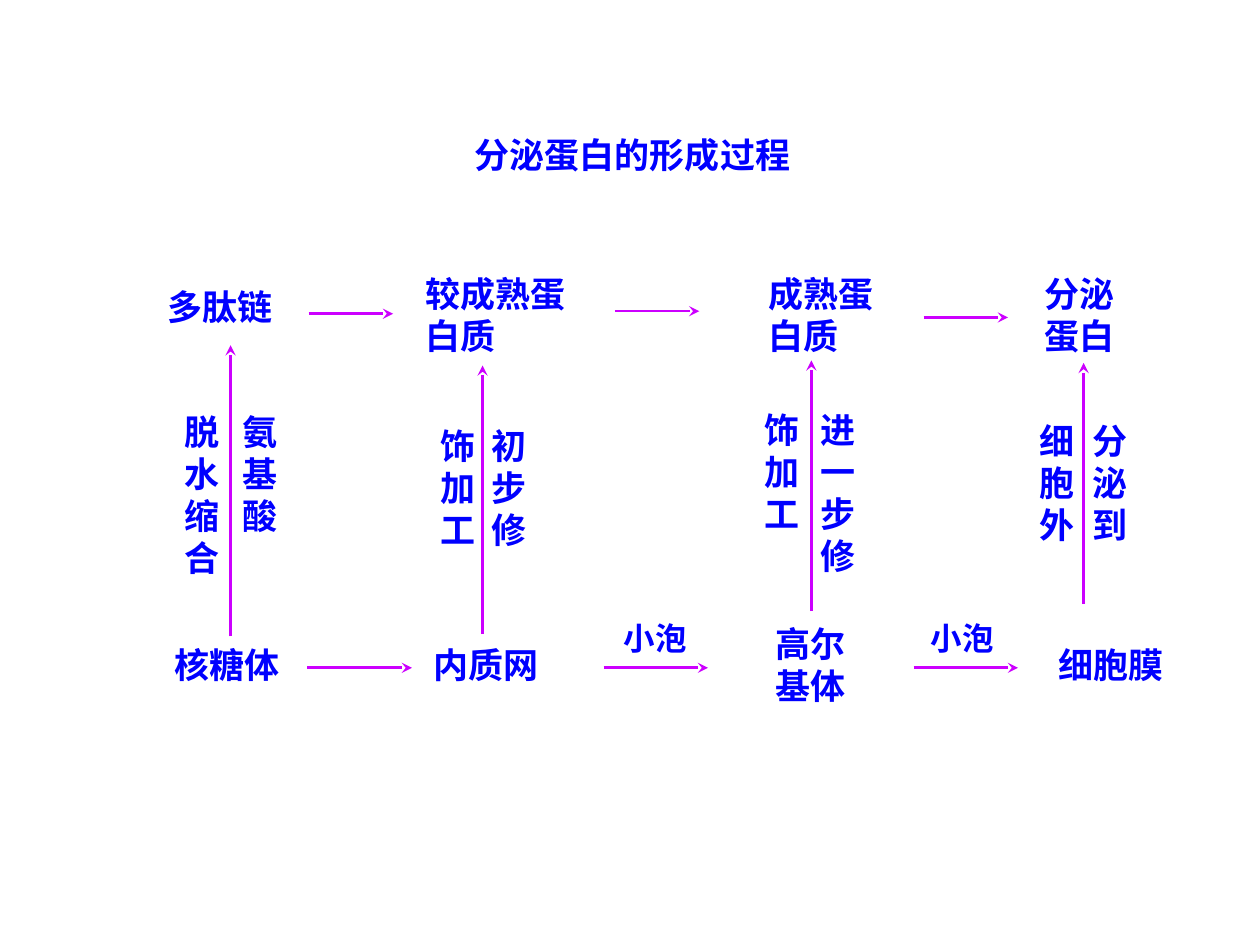
"""Build a slide showing how secretory proteins are formed."""
from lxml.etree import SubElement
from pptx import Presentation
from pptx.dml.color import RGBColor
from pptx.enum.shapes import MSO_CONNECTOR
from pptx.enum.text import MSO_ANCHOR as Anchor, PP_ALIGN as Align
from pptx.oxml.ns import qn
from pptx.util import Inches, Pt

THEME = {
    "font": "Noto Sans CJK SC",
    "text": RGBColor(0x00, 0x00, 0xFF),
    "arrow": RGBColor(0xCC, 0x00, 0xFF),
    "body_size": Pt(20),
    "label_size": Pt(18),
    "arrow_width": Pt(1.5),
}


def write_text(shape, text, size, anchor=Anchor.MIDDLE, align=Align.LEFT, wrap=True):
    frame = shape.text_frame
    frame_format = {
        "word_wrap": wrap, "vertical_anchor": anchor,
        "margin_left": Inches(0.1), "margin_right": Inches(0.1),
        "margin_top": Inches(0.05), "margin_bottom": Inches(0.05),
    }
    for name, value in frame_format.items():
        setattr(frame, name, value)
    paragraph = frame.paragraphs[0]
    paragraph.alignment = align
    run = paragraph.add_run()
    run.text = text
    for name, value in {"name": THEME["font"], "size": size, "bold": True}.items():
        setattr(run.font, name, value)
    run.font.color.rgb = THEME["text"]
    SubElement(run.font._element, qn("a:ea"), typeface=THEME["font"])


def add_arrow(slide, start, end):
    points = [Inches(value) for value in (*start, *end)]
    arrow = slide.shapes.add_connector(MSO_CONNECTOR.STRAIGHT, *points)
    arrow.line.color.rgb = THEME["arrow"]
    arrow.line.width = THEME["arrow_width"]
    SubElement(arrow.line._get_or_add_ln(), qn("a:tailEnd"), type="stealth")
    SubElement(arrow._element.spPr, qn("a:effectLst"))


presentation = Presentation()
presentation.slide_width = Inches(10)
presentation.slide_height = Inches(7.5)
slide = presentation.slides.add_slide(presentation.slide_layouts[5])

title = slide.shapes.title
title_place = {"left": 0.2, "top": 1.01, "width": 9.64, "height": 0.44}
for name, value in title_place.items():
    setattr(title, name, Inches(value))
write_text(title, "分泌蛋白的形成过程", THEME["body_size"], Anchor.TOP, Align.CENTER)

ONE_LINE, TWO_LINES = 0.44, 0.77
products = [
    ("多肽链 ", 0.99, 2.21, 1.58, ONE_LINE, Align.CENTER),
    ("较成熟蛋白质", 3.28, 2.11, 1.44, TWO_LINES, Align.LEFT),
    ("成熟蛋白质", 6, 2.11, 1.23, TWO_LINES, Align.LEFT),
    ("分泌蛋白", 8.19, 2.11, 0.93, TWO_LINES, Align.LEFT),
]
organelles = [
    ("核糖体", 1.29, 5.05, 1.33, ONE_LINE, Align.LEFT),
    ("内质网", 3.34, 5.05, 1.22, ONE_LINE, Align.LEFT),
    ("高尔基体", 6.06, 4.89, 0.98, TWO_LINES, Align.LEFT),
    ("细胞膜", 8.3, 5.05, 1.28, ONE_LINE, Align.LEFT),
]
for text, left, top, width, height, align in products + organelles:
    box = slide.shapes.add_textbox(*map(Inches, (left, top, width, height)))
    write_text(box, text, THEME["body_size"], align=align)

step_columns = [
    ("脱水缩合", 1.37, 3.21, 0.46, 1.77),
    ("氨基酸", 1.83, 3.21, 0.56, 1.1),
    ("饰加工", 3.4, 3.32, 0.47, 1.44),
    ("初步修", 3.8, 3.32, 0.49, 1.1),
    ("饰加工", 5.97, 3.19, 0.44, 1.44),
    ("进一步修", 6.41, 3.19, 0.45, 1.77),
    ("细胞外", 8.15, 3.28, 0.48, 1.1),
    ("分泌到", 8.57, 3.28, 0.49, 1.1),
]
for text, *place in step_columns:
    box = slide.shapes.add_textbox(*map(Inches, place))
    write_text(box, text, THEME["body_size"], Anchor.TOP)

for left, width, wrap in [(4.85, 0.99, True), (7.29, 0.75, False)]:
    box = slide.shapes.add_textbox(*map(Inches, (left, 4.86, width, 0.4)))
    write_text(box, "小泡", THEME["label_size"], wrap=wrap)

for left, y in [(2.45, 2.49), (4.88, 2.47), (7.33, 2.52)]:
    add_arrow(slide, (left, y), (left + 0.67, y))
for x, bottom, top in [(1.83, 5.05, 2.74), (3.83, 5.03, 2.9), (6.44, 4.85, 2.86), (8.6, 4.79, 2.88)]:
    add_arrow(slide, (x, bottom), (x, top))
for left in (2.44, 4.79, 7.25):
    add_arrow(slide, (left, 5.3), (left + 0.83, 5.3))

presentation.save("out.pptx")
